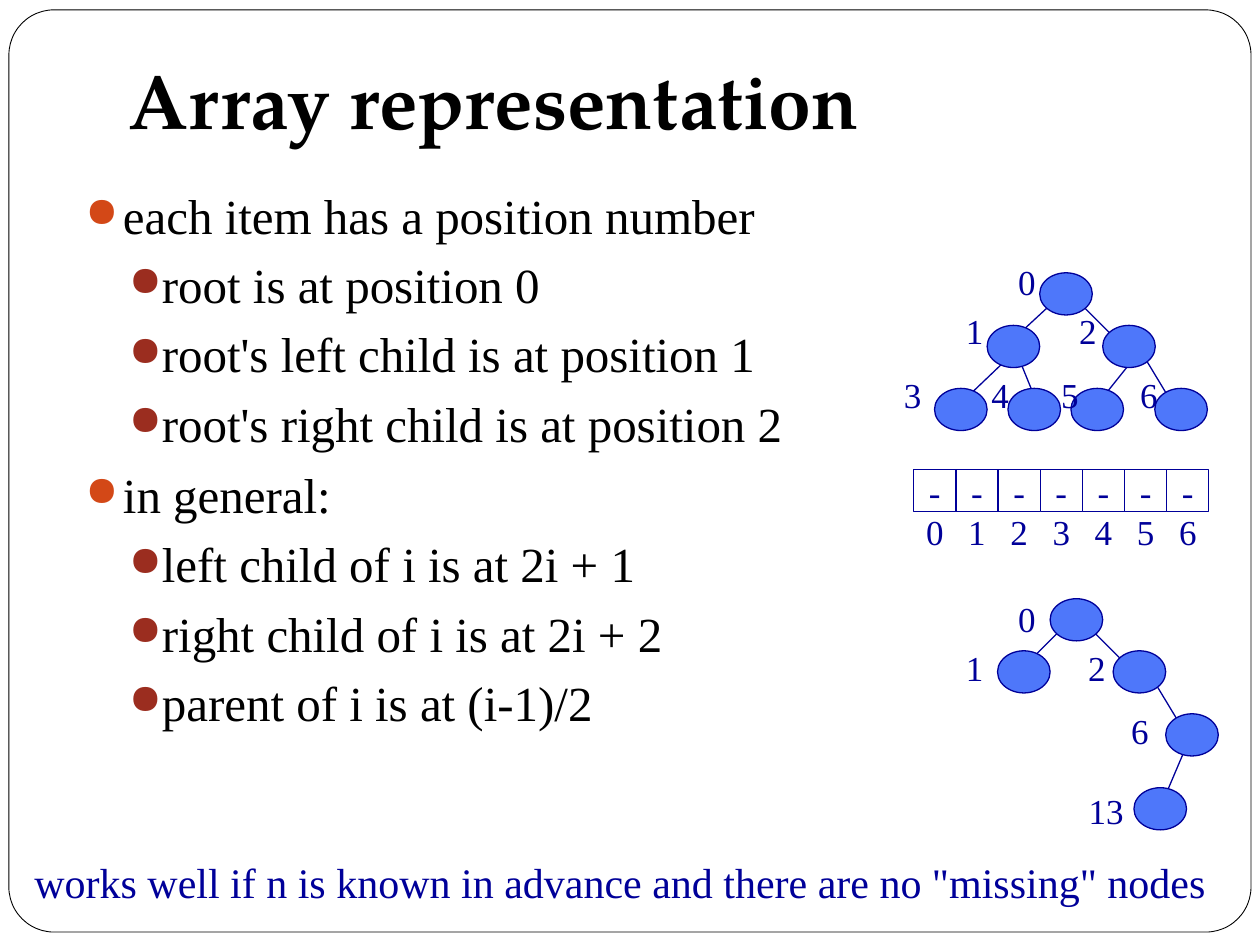
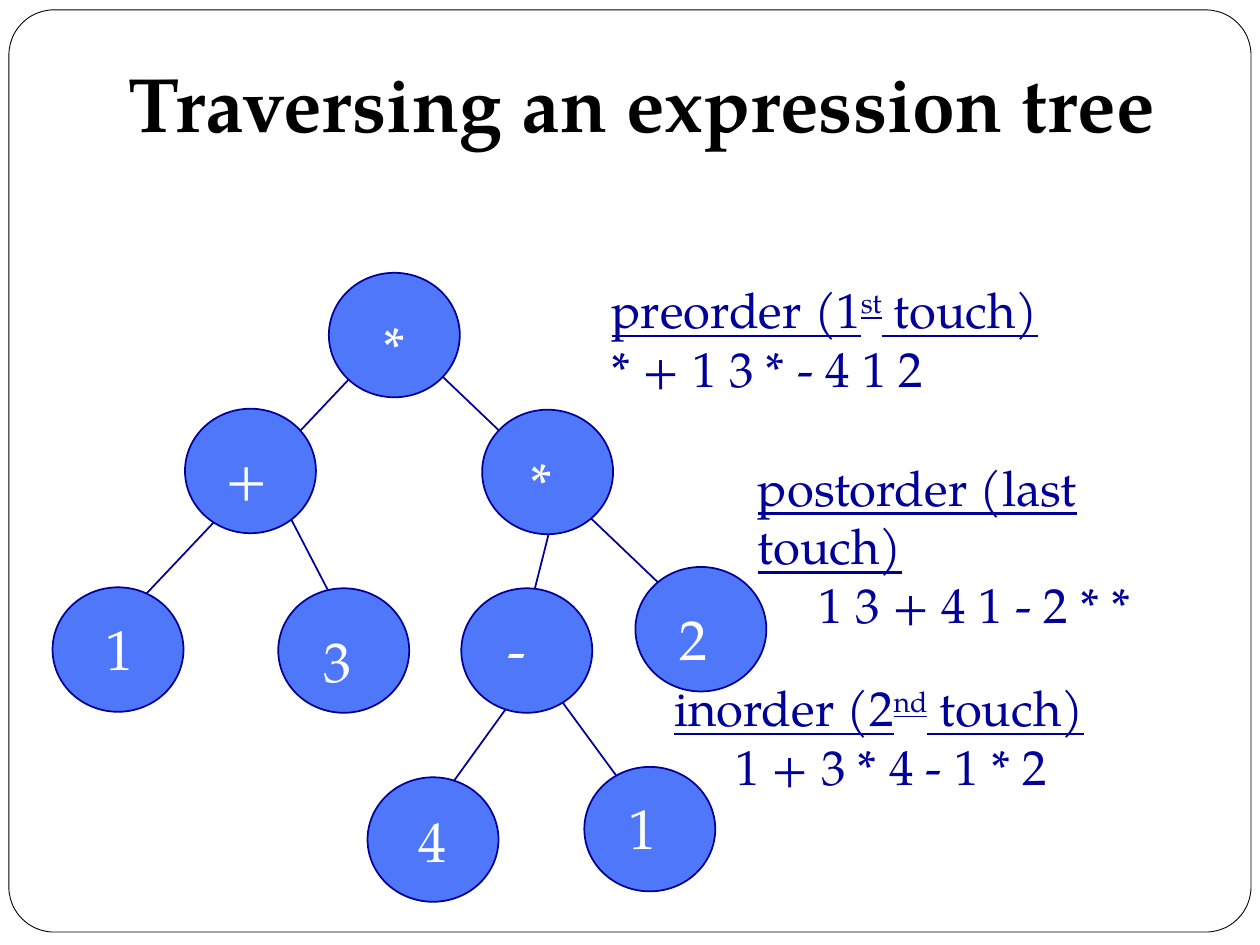
from lxml import etree
from pptx import Presentation
from pptx import util as u
from pptx.dml.color import RGBColor
from pptx.enum import shapes, text
from pptx.oxml.ns import qn

C = {"ink": "000000", "paper": "FFFFFF", "navy": "000099", "node": "4E77FA",
     "bullet": "D34817", "subbullet": "9B2D1F"}
SERIF, PAGELLA = "Times New Roman", "TeX Gyre Pagella"
LEFT, CENTER = text.PP_ALIGN.LEFT, text.PP_ALIGN.CENTER
TOP, MIDDLE, BOTTOM = text.MSO_ANCHOR.TOP, text.MSO_ANCHOR.MIDDLE, text.MSO_ANCHOR.BOTTOM


def add_box(s, kind, x, y, w, h, fill, line, width):
    sp = s.shapes.add_shape(kind, u.Cm(x), u.Cm(y), u.Cm(w), u.Cm(h))
    sp.shadow.inherit = False
    sp.fill.solid()
    sp.fill.fore_color.rgb = RGBColor.from_string(C[fill])
    sp.line.color.rgb = RGBColor.from_string(C[line])
    sp.line.width = u.Pt(width)
    return sp


def add_text(s, x, y, w, h, lines, size, font, color, align=LEFT, anchor=TOP):
    tf = s.shapes.add_textbox(u.Cm(x), u.Cm(y), u.Cm(w), u.Cm(h)).text_frame
    tf.word_wrap = True
    tf.vertical_anchor = anchor
    tf.text = "\n".join(lines)
    for p in tf.paragraphs:
        p.alignment = align
        p.font.size = u.Pt(size)
        p.font.name = font
        p.font.color.rgb = RGBColor.from_string(C[color])
    return tf


prs = Presentation()
prs.slide_width, prs.slide_height = u.Cm(25.4), u.Cm(19.05)

slides = []
for title, height in (("Array representation", 2.26), ("Traversing an expression tree", 2.32)):
    s = prs.slides.add_slide(prs.slide_layouts[6])
    sp = add_box(s, shapes.MSO_SHAPE.ROUNDED_RECTANGLE, 0.18, 0.2, 25.04, 18.59, "paper", "ink", 0.5)
    sp.adjustments[0] = 0.049
    tf = add_text(s, 2.34, 0.91, 23.06, height, [title], 44, PAGELLA, "ink", anchor=BOTTOM)
    tf.margin_bottom = u.Cm(0.25)
    tf.paragraphs[0].font.bold = True
    slides.append(s)
array_slide, traversal_slide = slides

bullets = [
    (0, "each item has a position number"),
    (1, "root is at position 0"),
    (1, "root's left child is at position 1"),
    (1, "root's right child is at position 2"),
    (0, "in general:"),
    (1, "left child of i is at 2i + 1"),
    (1, "right child of i is at 2i + 2"),
    (1, "parent of i is at (i-1)/2"),
]
levels = [(0.76, -0.76, 7, "bullet"), (1.52, -0.64, 6, "subbullet")]
tf = add_text(array_slide, 1.47, 3.61, 17.78, 13, [b[1] for b in bullets], 28, SERIF, "ink")
for p, (level, _) in zip(tf.paragraphs, bullets):
    margin, indent, before, color = levels[level]
    p.level = level
    p.space_before = u.Pt(before)
    pPr = p._p.get_or_add_pPr()
    pPr.set("marL", str(u.Cm(margin)))
    pPr.set("indent", str(u.Cm(indent)))
    marks = [etree.Element(qn("a:buClr")),
             etree.Element(qn("a:buSzPct"), val="85000"),
             etree.Element(qn("a:buChar"), char="●")]
    etree.SubElement(marks[0], qn("a:srgbClr"), val=C[color])
    for mark in marks:
        pPr.find(qn("a:defRPr")).addprevious(mark)

# node: left, top, label, label centre x, label centre y
trees = [
    dict(slide=array_slide, size=(1.06, 0.85), width=0.75, font=(20, SERIF, "navy"),
         nodes=[(20.96, 5.5, "0", 20.7, 5.68), (19.9, 6.56, "1", 19.65, 6.67),
                (22.23, 6.56, "2", 21.93, 6.67), (18.84, 7.83, "3", 18.4, 7.96),
                (20.32, 7.83, "4", 20.16, 7.96), (21.59, 7.83, "5", 21.57, 7.96),
                (23.28, 7.83, "6", 23.16, 7.96)],
         edges=[(21.8, 6.14, 22.65, 6.99), (23.07, 7.2, 23.71, 8.26),
                (20.53, 7.2, 20.96, 8.26), (22.88, 7.2, 22.2, 8.05),
                (20.34, 7.2, 19.45, 8.05), (21.18, 6.14, 20.49, 6.78)]),
    dict(slide=array_slide, size=(1.06, 0.85), width=0.75, font=(20, SERIF, "navy"),
         nodes=[(21.17, 12.07, "0", 20.7, 12.46), (20.11, 13.12, "1", 19.65, 13.45),
                (22.44, 13.12, "2", 22.11, 13.45), (23.5, 14.39, "6", 22.98, 14.72),
                (22.86, 15.88, "13", 22.3, 16.33)],
         edges=[(23.92, 15.03, 23.47, 16.09), (22.01, 12.7, 22.86, 13.55),
                (23.28, 13.76, 23.92, 14.82), (21.38, 12.7, 20.74, 13.34)]),
    dict(slide=traversal_slide, size=(2.64, 2.51), width=1, font=(32, PAGELLA, "paper"),
         nodes=[(6.63, 5.5, "*", 7.96, 6.95), (3.73, 8.24, "+", 4.98, 9.59),
                (9.72, 8.26, "*", 10.91, 9.69), (12.81, 11.43, "2", 13.99, 12.87),
                (1.06, 11.84, "1", 2.4, 13.07), (5.61, 11.86, "3", 6.81, 13.3),
                (9.3, 11.86, "-", 10.42, 13.07), (11.78, 15.46, "1", 12.96, 16.67),
                (7.41, 15.67, "4", 8.71, 16.93)],
         edges=[(8.05, 6.76, 13.82, 12.27), (10.74, 13.34, 13.21, 16.71),
                (11.38, 9.5, 10.52, 12.9), (7.87, 6.76, 2.26, 12.7),
                (10.74, 13.54, 8.43, 16.74), (5.59, 9.93, 7.24, 13.11)]),
]
for tree in trees:
    s = tree["slide"]
    for edge in tree["edges"]:
        cx = s.shapes.add_connector(shapes.MSO_CONNECTOR.STRAIGHT, *map(u.Cm, edge))
        cx.line.color.rgb = RGBColor.from_string(C["navy"])
        cx.line.width = u.Pt(tree["width"])
        etree.SubElement(cx._element.spPr, qn("a:effectLst"))
    for x, y, *_ in tree["nodes"]:
        add_box(s, shapes.MSO_SHAPE.OVAL, x, y, *tree["size"], "node", "navy", tree["width"])
    for _, _, label, x, y in tree["nodes"]:
        add_text(s, x - 0.8, y - 0.8, 1.6, 1.6, [label], *tree["font"], CENTER, MIDDLE)

cell = 0.85
for i in range(7):
    x = 18.42 + i * cell
    add_box(array_slide, shapes.MSO_SHAPE.RECTANGLE, x, 9.47, cell, cell, "paper", "navy", 0.75)
    for y, label in ((9.9, "-"), (10.72, str(i))):
        add_text(array_slide, x + cell / 2 - 0.8, y - 0.6, 1.6, 1.2, [label], 20, SERIF, "navy", CENTER, MIDDLE)

add_text(array_slide, 0.2, 17.15, 24.6, 1.27,
         ['works well if n is known in advance and there are no "missing" nodes'],
         24, SERIF, "navy", CENTER)

orders = [
    (12.08, 5.51, 10, ("preorder (1", "st", " touch)"), "* + 1 3 * - 4 1 2", 0),
    (13.34, 13.54, 10, ("inorder (2", "nd", " touch)"), "1 + 3 * 4 - 1 * 2", 1.23),
    (15.03, 9.09, 9.96, ("postorder (last touch)",), "1 3 + 4 1 - 2 * *", 1.23),
]
for x, y, w, heading, sequence, margin in orders:
    tf = add_text(traversal_slide, x, y, w, 2.64, ["", sequence], 28, PAGELLA, "navy")
    p, sequence_p = tf.paragraphs
    p.font.underline = True
    for i, part in enumerate(heading):
        r = p.add_run()
        r.text = part
        if i == 1:
            r.font._element.set("baseline", "30000")
    sequence_p._p.get_or_add_pPr().set("marL", str(u.Cm(margin)))

prs.save("out.pptx")
